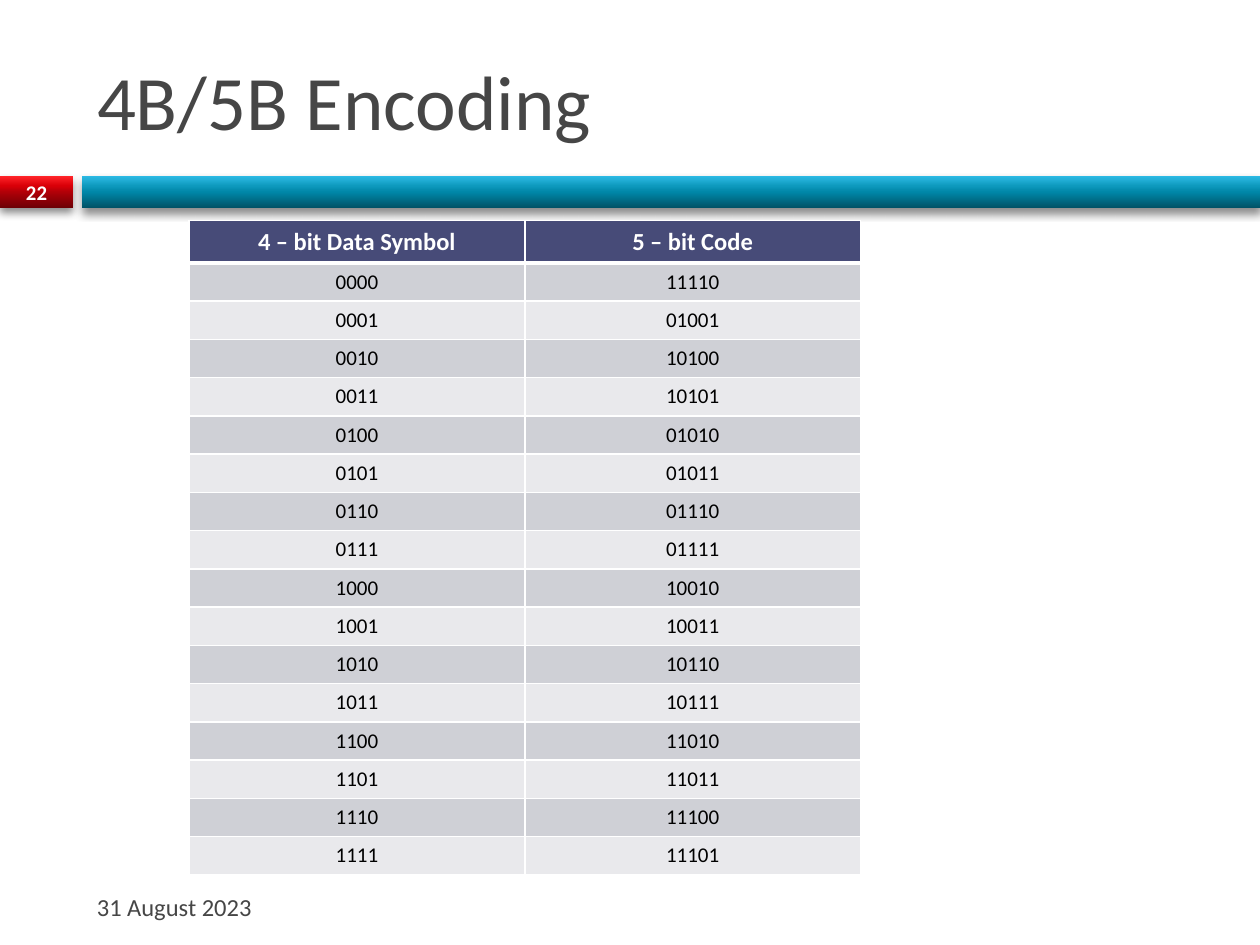
"""Build the 4B/5B encoding slide with its code table."""

from dataclasses import dataclass

from lxml.etree import SubElement
from pptx import Presentation
from pptx.dml.color import RGBColor
from pptx.enum.shapes import MSO_SHAPE
from pptx.enum.text import MSO_ANCHOR, MSO_AUTO_SIZE, PP_ALIGN
from pptx.oxml.ns import qn
from pptx.slide import Slide
from pptx.table import _Cell
from pptx.text.text import TextFrame
from pptx.util import Inches, Pt


@dataclass(frozen=True)
class Theme:
    """Colours, font and type sizes of the slide."""

    font: str = "Calibri"
    text: str = "464646"
    white: str = "FFFFFF"
    black: str = "000000"
    header: str = "474B78"
    bands: tuple[str, str] = ("CFD0D6", "E9E9EC")
    red: tuple[str, ...] = ("6D0005", "B00008", "DA0008", "FF2429")
    teal: tuple[str, ...] = ("005367", "0086A7", "0E9ABE", "2CB9E3")
    stops: tuple[int, ...] = (0, 50, 70, 100)
    title_size: float = 44
    label_size: float = 14
    code_size: float = 12
    number_size: float = 11.9


@dataclass(frozen=True)
class Area:
    """A rectangle in inches."""

    left: float
    top: float
    width: float
    height: float

    def lengths(self) -> tuple[Inches, ...]:
        """Return left, top, width and height as lengths."""
        return tuple(Inches(n) for n in (self.left, self.top, self.width, self.height))


@dataclass(frozen=True)
class Style:
    """The look of one span of text."""

    size: float
    color: str
    bold: bool = False
    align: PP_ALIGN = PP_ALIGN.LEFT


@dataclass(frozen=True)
class Bar:
    """A shaded bar under the title."""

    area: Area
    colors: tuple[str, ...]


@dataclass(frozen=True)
class Label:
    """A text box with one line."""

    text: str
    area: Area
    style: Style


THEME = Theme()
TITLE = "4B/5B Encoding"
TITLE_AREA = Area(0.67, 0.25, 8.92, 1.08)
BARS = (
    Bar(Area(0, 1.4, 0.58, 0.25), THEME.red),
    Bar(Area(0.65, 1.4, 9.35, 0.25), THEME.teal),
)
LABELS = (
    Label("31 August 2023", Area(0.67, 7, 2.92, 0.4), Style(THEME.label_size, THEME.text)),
    Label(
        "22",
        Area(0, 1.39, 0.58, 0.27),
        Style(THEME.number_size, THEME.white, True, PP_ALIGN.CENTER),
    ),
)
HEADINGS = ("4 – bit Data Symbol", "5 – bit Code")
CODES = (
    "11110", "01001", "10100", "10101", "01010", "01011", "01110", "01111",
    "10010", "10011", "10110", "10111", "11010", "11011", "11100", "11101",
)
TABLE_AREA = Area(1.5, 1.75, 5.33, 5.1)
ROW_HEIGHT = 0.3


def write(frame: TextFrame, text: str, style: Style) -> None:
    """Write one formatted span into the first paragraph."""
    para = frame.paragraphs[0]
    para.alignment = style.align
    span = para.add_run()
    span.text = text
    span.font.name = THEME.font
    span.font.size = Pt(style.size)
    span.font.bold = style.bold
    span.font.color.rgb = RGBColor.from_string(style.color)


def add_title(page: Slide) -> None:
    """Place and fill the title placeholder."""
    title = page.shapes.title
    title.left, title.top, title.width, title.height = TITLE_AREA.lengths()
    frame = title.text_frame
    frame.auto_size = MSO_AUTO_SIZE.NONE
    frame.vertical_anchor = MSO_ANCHOR.MIDDLE
    write(frame, TITLE, Style(THEME.title_size, THEME.text))


def add_bar(page: Slide, bar: Bar) -> None:
    """Draw a bar with an upward gradient and a soft shadow."""
    shape = page.shapes.add_shape(MSO_SHAPE.RECTANGLE, *bar.area.lengths())
    shape.line.fill.background()
    shape.fill.gradient()
    shape.fill.gradient_angle = 90
    shape.shadow.inherit = False
    properties = shape._element.spPr
    stops = properties.find(qn("a:gradFill")).find(qn("a:gsLst"))
    stops.clear()
    for position, color in zip(THEME.stops, bar.colors):
        stop = SubElement(stops, qn("a:gs"), pos=str(position * 1000))
        SubElement(stop, qn("a:srgbClr"), val=color)
    shadow = SubElement(
        properties.find(qn("a:effectLst")),
        qn("a:outerShdw"),
        blurRad=str(Pt(5)),
        dist=str(Pt(3)),
        dir="5400000",
        rotWithShape="0",
    )
    tint = SubElement(shadow, qn("a:srgbClr"), val=THEME.black)
    SubElement(tint, qn("a:alpha"), val="45000")


def add_label(page: Slide, label: Label) -> None:
    """Add a vertically centred text box."""
    box = page.shapes.add_textbox(*label.area.lengths())
    frame = box.text_frame
    frame.word_wrap = True
    frame.vertical_anchor = MSO_ANCHOR.MIDDLE
    write(frame, label.text, label.style)


def format_cell(cell: _Cell, fill: str, top: float, bottom: float) -> None:
    """Give a cell its white borders and its fill."""
    properties = cell._tc.get_or_add_tcPr()
    for side, width in (("L", 1), ("R", 1), ("T", top), ("B", bottom)):
        line = SubElement(properties, qn(f"a:ln{side}"), w=str(Pt(width)))
        paint = SubElement(line, qn("a:solidFill"))
        SubElement(paint, qn("a:srgbClr"), val=THEME.white)
    cell.fill.solid()
    cell.fill.fore_color.rgb = RGBColor.from_string(fill)


def add_code_table(page: Slide) -> None:
    """Add the table of data symbols and their codes."""
    rows = [HEADINGS, *((f"{value:04b}", code) for value, code in enumerate(CODES))]
    table = page.shapes.add_table(len(rows), len(HEADINGS), *TABLE_AREA.lengths()).table
    heading = Style(THEME.label_size, THEME.white, True, PP_ALIGN.CENTER)
    body = Style(THEME.code_size, THEME.black, False, PP_ALIGN.CENTER)
    for index, texts in enumerate(rows):
        table.rows[index].height = Inches(ROW_HEIGHT)
        style = body if index else heading
        fill = THEME.bands[(index - 1) % 2] if index else THEME.header
        for column, text in enumerate(texts):
            cell = table.cell(index, column)
            format_cell(cell, fill, 3 if index == 1 else 1, 1 if index else 3)
            write(cell.text_frame, text, style)


def main() -> None:
    """Build and save the deck."""
    deck = Presentation()
    deck.slide_width, deck.slide_height = Inches(10), Inches(7.5)
    page = deck.slides.add_slide(deck.slide_layouts.get_by_name("Title Only"))
    for bar in BARS:
        add_bar(page, bar)
    add_title(page)
    add_code_table(page)
    for label in LABELS:
        add_label(page, label)
    deck.save("out.pptx")


if __name__ == "__main__":
    main()
